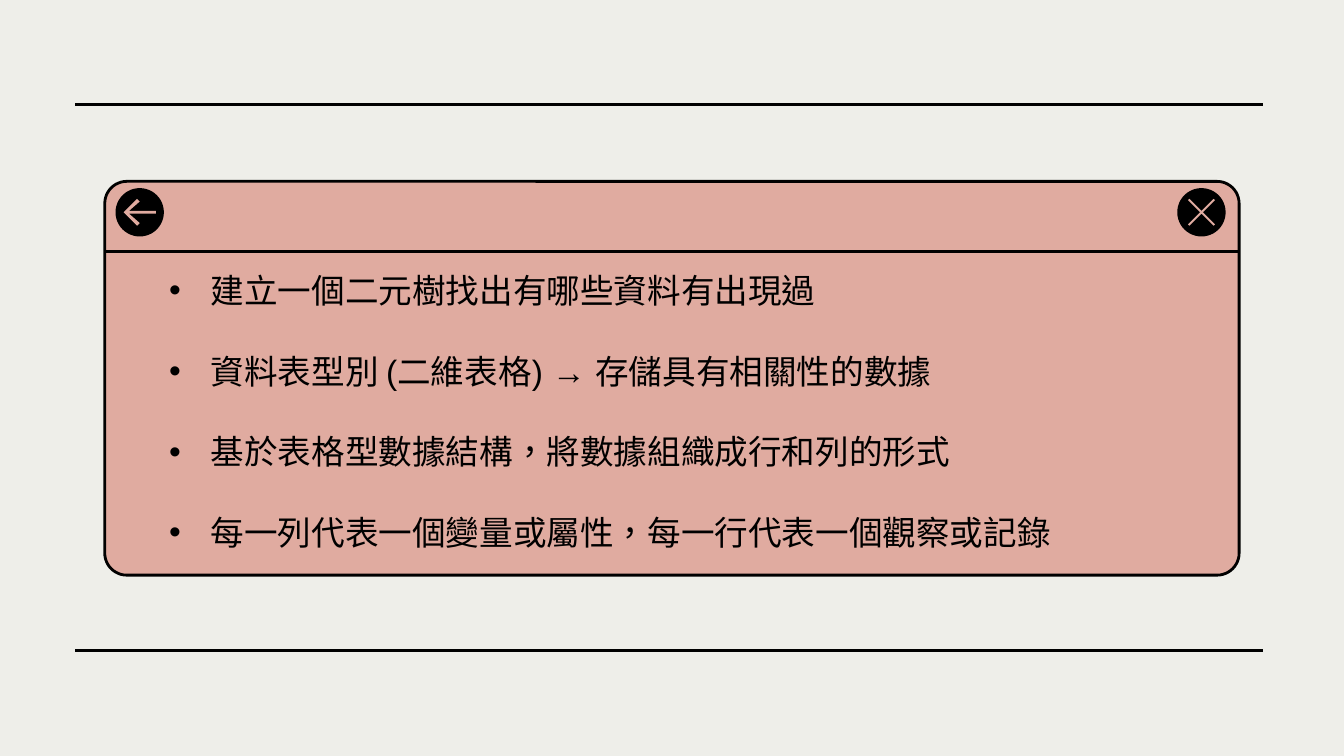
from dataclasses import dataclass

from lxml import etree
from pptx import Presentation
from pptx.dml.color import RGBColor
from pptx.enum.lang import MSO_LANGUAGE_ID
from pptx.enum.shapes import MSO_CONNECTOR, MSO_SHAPE
from pptx.enum.text import MSO_AUTO_SIZE
from pptx.oxml.ns import qn
from pptx.util import Inches, Pt

STRAIGHT = MSO_CONNECTOR.STRAIGHT
ROUNDED = MSO_SHAPE.ROUNDED_RECTANGLE
OVAL = MSO_SHAPE.OVAL
GROW = MSO_AUTO_SIZE.SHAPE_TO_FIT_TEXT
CHINESE = MSO_LANGUAGE_ID.TAIWAN if hasattr(MSO_LANGUAGE_ID, "TAIWAN") else MSO_LANGUAGE_ID.TRADITIONAL_CHINESE


@dataclass(frozen=True)
class Theme:
    paper: RGBColor = RGBColor.from_string("EEEEE9")
    ink: RGBColor = RGBColor.from_string("000000")
    card: RGBColor = RGBColor.from_string("E0ABA0")
    font: str = "Arial"
    body: float = 18
    gap: float = 21.6
    rule: float = 1.5


THEME = Theme()

BULLETS = [
    "建立一個二元樹找出有哪些資料有出現過",
    "資料表型別 (二維表格) → 存儲具有相關性的數據",
    "基於表格型數據結構，將數據組織成行和列的形式",
    "每一列代表一個變量或屬性，每一行代表一個觀察或記錄",
]

BACK_ARROW = [(-0.02, -0.1), (-0.12, 0), (-0.02, 0.1), (0, 0.08), (-0.08, 0.01),
              (0.12, 0.01), (0.12, -0.01), (-0.08, -0.01), (0, -0.08)]
CROSS = [(-0.09, -0.1), (-0.1, -0.09), (-0.01, 0), (-0.1, 0.09), (-0.09, 0.1), (0, 0.01),
         (0.09, 0.1), (0.1, 0.09), (0.01, 0), (0.1, -0.09), (0.09, -0.1), (0, -0.01)]


def paint(shape, fill, line=None):
    shape.shadow.inherit = False
    shape.fill.solid()
    shape.fill.fore_color.rgb = fill
    if line is None:
        shape.line.fill.background()
    else:
        shape.line.color.rgb = line
        shape.line.width = Pt(THEME.rule)


def add_rule(s, x, y, w):
    rule = s.shapes.add_connector(STRAIGHT, Inches(x), Inches(y), Inches(x + w), Inches(y))
    rule.line.color.rgb = THEME.ink
    rule.line.width = Pt(THEME.rule)
    etree.SubElement(rule._element.spPr, qn("a:effectLst"))


def add_button(s, x, y, size, icon):
    disc = s.shapes.add_shape(OVAL, Inches(x), Inches(y), Inches(size), Inches(size))
    paint(disc, THEME.ink)
    cx, cy = x + size / 2, y + size / 2
    points = [(Inches(cx + dx), Inches(cy + dy)) for dx, dy in icon]
    builder = s.shapes.build_freeform(*points[0])
    builder.add_line_segments(points[1:], close=True)
    paint(builder.convert_to_shape(), THEME.card)


def add_bullets(s, x, y, w, h, lines, *, size, color, font, indent, gap):
    tf = s.shapes.add_textbox(Inches(x), Inches(y), Inches(w), Inches(h)).text_frame
    tf.word_wrap = False
    tf.auto_size = GROW
    for i, line in enumerate(lines):
        p = tf.paragraphs[0] if i == 0 else tf.add_paragraph()
        p.space_before = Pt(gap if i else 0)
        pPr = p._p.get_or_add_pPr()
        pPr.set("marL", str(Inches(indent)))
        pPr.set("indent", str(-Inches(indent)))
        bullet_color = etree.SubElement(pPr, qn("a:buClr"))
        etree.SubElement(bullet_color, qn("a:srgbClr"), val=str(color))
        etree.SubElement(pPr, qn("a:buFont"), typeface=font)
        etree.SubElement(pPr, qn("a:buChar"), char="•")
        r = p.add_run()
        r.text = line
        r.font.size = Pt(size)
        r.font.name = font
        r.font.color.rgb = color
        r.font.language_id = CHINESE


def add_window(s, x, y, w, h, lines):
    card = s.shapes.add_shape(ROUNDED, Inches(x), Inches(y), Inches(w), Inches(h))
    card.adjustments[0] = 0.056
    paint(card, THEME.card, THEME.ink)
    add_rule(s, x + 0.01, y + 0.52, w - 0.01)
    add_button(s, x + w - 0.46, y + 0.05, 0.36, CROSS)
    add_button(s, x + 0.08, y + 0.05, 0.36, BACK_ARROW)
    add_bullets(s, x + 0.38, y + 0.61, 6.84, 2.22, lines, size=THEME.body,
                color=THEME.ink, font=THEME.font, indent=0.31, gap=THEME.gap)


def add_frame(s, x, y, w, h):
    for rule_y in (y, y + h):
        add_rule(s, x, rule_y, w)


def main():
    prs = Presentation()
    prs.slide_width = Inches(10)
    prs.slide_height = prs.slide_width * 9 // 16
    s = prs.slides.add_slide(prs.slide_layouts[6])
    s.background.fill.solid()
    s.background.fill.fore_color.rgb = THEME.paper
    add_frame(s, 0.56, 0.78, 8.84, 4.06)
    add_window(s, 0.78, 1.35, 8.44, 2.93, BULLETS)
    prs.save("out.pptx")


if __name__ == "__main__":
    main()
